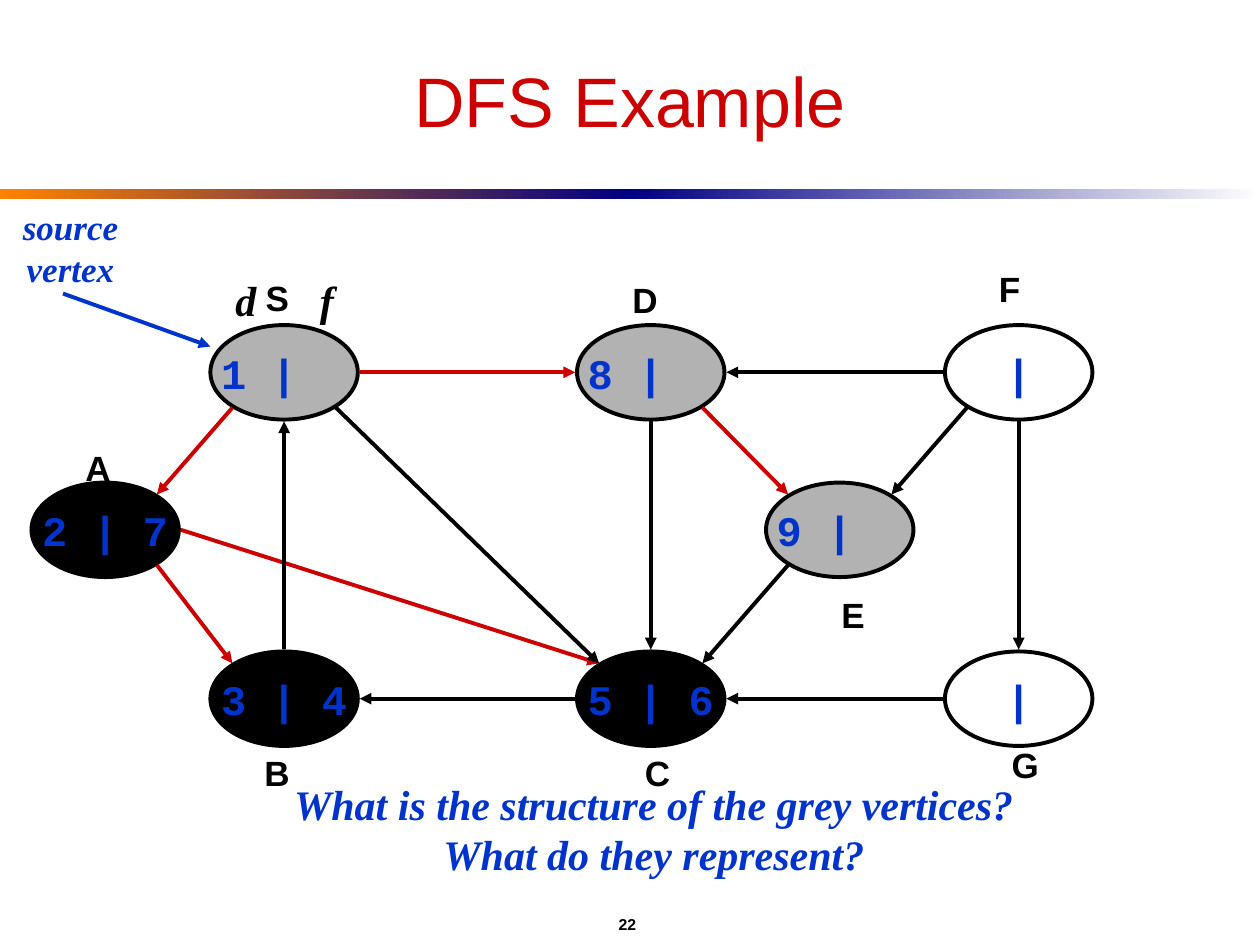
from lxml.etree import SubElement
from pptx import Presentation
from pptx.dml.color import RGBColor
from pptx.enum.shapes import MSO_CONNECTOR, MSO_SHAPE
from pptx.enum.text import MSO_ANCHOR, PP_ALIGN
from pptx.oxml.ns import qn
from pptx.util import Inches, Pt

RED = RGBColor(0xCC, 0x00, 0x00)
BLUE = RGBColor(0x00, 0x33, 0xCC)
BLACK = RGBColor(0x00, 0x00, 0x00)
GREY = RGBColor(0xB2, 0xB2, 0xB2)
WHITE = RGBColor(0xFF, 0xFF, 0xFF)
ORANGE = RGBColor(0xFF, 0x82, 0x00)
NAVY = RGBColor(0x00, 0x00, 0x82)

TITLE = {"name": "Arial", "size": Pt(40), "bold": False}
PAGE = {"name": "Arial", "size": Pt(9), "bold": True}
LABEL = {"name": "Arial", "size": Pt(20), "bold": True}
TIMES = {"name": "Courier New", "size": Pt(24), "bold": True}
NOTE = {"name": "Times New Roman", "size": Pt(20), "bold": True, "italic": True}
QUESTION = {**NOTE, "size": Pt(24)}

LINE_WIDTH = Pt(2.25)
NODE_W, NODE_H = 1.17, 0.75
PORTS = {"n": (0, -0.39), "s": (0, 0.39), "w": (-0.6, 0), "e": (0.6, 0),
         "nw": (-0.41, -0.28), "ne": (0.41, -0.28),
         "sw": (-0.41, 0.28), "se": (0.41, 0.28)}

LEFT, MIDDLE, RIGHT = 1.67, 4.58, 7.5
TOP, CENTRE, BOTTOM = 2.58, 3.83, 5.17
NODES = {
    "S": (LEFT, TOP, GREY, "1", "", 2.01, 2.15),
    "D": (MIDDLE, TOP, GREY, "8", "", 4.92, 2.17),
    "F": (RIGHT, TOP, None, "", "", 7.83, 2.08),
    "G": (RIGHT, BOTTOM, None, "", "", 7.93, 5.86),
    "C": (MIDDLE, BOTTOM, BLACK, "5", "6", 5.02, 5.92),
    "B": (LEFT, BOTTOM, BLACK, "3", "4", 2, 5.92),
    "A": (0.25, CENTRE, BLACK, "2", "7", 0.58, 3.5),
    "E": (6.08, CENTRE, GREY, "9", "", 6.58, 4.67),
}
EDGES = [
    ("S", "sw", "A", "ne", RED), ("A", "se", "B", "nw", RED),
    ("A", "e", "C", "nw", RED), ("C", "w", "B", "e", BLACK),
    ("B", "n", "S", "s", BLACK), ("S", "se", "C", "nw", BLACK),
    ("D", "s", "C", "n", BLACK), ("S", "e", "D", "w", RED),
    ("F", "w", "D", "e", BLACK), ("D", "se", "E", "nw", RED),
    ("F", "sw", "E", "ne", BLACK), ("F", "s", "G", "n", BLACK),
    ("G", "w", "C", "e", BLACK), ("E", "sw", "C", "ne", BLACK),
]


def write(sp, text, font, color, align=PP_ALIGN.CENTER, anchor=MSO_ANCHOR.MIDDLE, wrap=False):
    """Fill a shape with text and return its first paragraph."""
    tf = sp.text_frame
    tf.word_wrap = wrap
    tf.vertical_anchor = anchor
    tf.text = text
    for p in tf.paragraphs:
        p.alignment = align
        for r in p.runs:
            for key, value in font.items():
                setattr(r.font, key, value)
            r.font.color.rgb = color
    return tf.paragraphs[0]


def add_text(s, box, *args, **kwargs):
    """Add a text box and return its first paragraph."""
    return write(s.shapes.add_textbox(*map(Inches, box)), *args, **kwargs)


def add_rule(s, x, y, w, h):
    """Draw the two-part gradient band under the title."""
    for i, colors in enumerate([(ORANGE, NAVY), (NAVY, WHITE)]):
        sp = s.shapes.add_shape(MSO_SHAPE.RECTANGLE, Inches(x + i * w / 2), Inches(y),
                                Inches(w / 2), Inches(h))
        sp.shadow.inherit = False
        sp.line.fill.background()
        sp.fill.gradient()
        sp.fill.gradient_angle = 0
        for stop, color in zip(sp.fill.gradient_stops, colors):
            stop.color.rgb = color


def add_node(s, x, y, fill, start, finish):
    """Draw one vertex with its discovery and finish times."""
    sp = s.shapes.add_shape(MSO_SHAPE.OVAL, *map(Inches, (x, y, NODE_W, NODE_H)))
    sp.shadow.inherit = False
    if fill is None:
        sp.fill.background()
    else:
        sp.fill.solid()
        sp.fill.fore_color.rgb = fill
    sp.line.color.rgb = BLACK
    sp.line.width = LINE_WIDTH
    write(sp, f"{start:1} | {finish:1}", TIMES, BLUE)


def add_arrow(s, start, end, color):
    """Draw a straight arrow between two points."""
    c = s.shapes.add_connector(MSO_CONNECTOR.STRAIGHT, *map(Inches, (*start, *end)))
    c.line.color.rgb = color
    c.line.width = LINE_WIDTH
    SubElement(c.line._get_or_add_ln(), qn("a:tailEnd"), type="triangle")
    SubElement(c._element.spPr, qn("a:effectLst"))


def port(node, side):
    """Return the point on a vertex where an edge attaches."""
    x, y = NODES[node][:2]
    dx, dy = PORTS[side]
    return x + NODE_W / 2 + dx, y + NODE_H / 2 + dy


def add_graph(s):
    """Draw the vertices, the edges and the vertex names."""
    for x, y, fill, start, finish, _, _ in NODES.values():
        add_node(s, x, y, fill, start, finish)
    for tail, tail_side, head, head_side, color in EDGES:
        add_arrow(s, port(tail, tail_side), port(head, head_side), color)
    for name in sorted(NODES):
        x, y = NODES[name][-2:]
        add_text(s, (x, y, 0.42, 0.42), name, LABEL, BLACK, PP_ALIGN.LEFT)


def add_notes(s):
    """Add the source pointer, the d and f headings and the question."""
    add_arrow(s, (0.5, 2.33), (1.67, 2.75), BLUE)
    add_text(s, (0.08, 1.58, 0.96, 0.77), "source\vvertex", NOTE, BLUE, anchor=MSO_ANCHOR.TOP)
    p = add_text(s, (1.77, 2, 1.1, 0.75), "d\tf", QUESTION, BLACK, PP_ALIGN.LEFT, wrap=True)
    tabs = SubElement(p._p.get_or_add_pPr(), qn("a:tabLst"))
    SubElement(tabs, qn("a:tab"), pos=str(Inches(0.67)), algn="l")
    add_text(s, (2.15, 6.13, 6.08, 0.9),
             "What is the structure of the grey vertices?\vWhat do they represent?",
             QUESTION, BLUE, anchor=MSO_ANCHOR.TOP)


def build_slide(prs):
    """Add the depth-first search slide."""
    s = prs.slides.add_slide(prs.slide_layouts[6])
    add_rule(s, 0, 1.5, 10, 0.08)
    add_text(s, (0.5, 7.17, 8.96, 0.33), "22", PAGE, BLACK, wrap=True)
    add_text(s, (0.5, 0.25, 9, 1.08), "DFS Example", TITLE, RED, wrap=True)
    add_graph(s)
    add_notes(s)


prs = Presentation()
prs.slide_width, prs.slide_height = Inches(10), Inches(7.5)
build_slide(prs)
prs.save("out.pptx")
